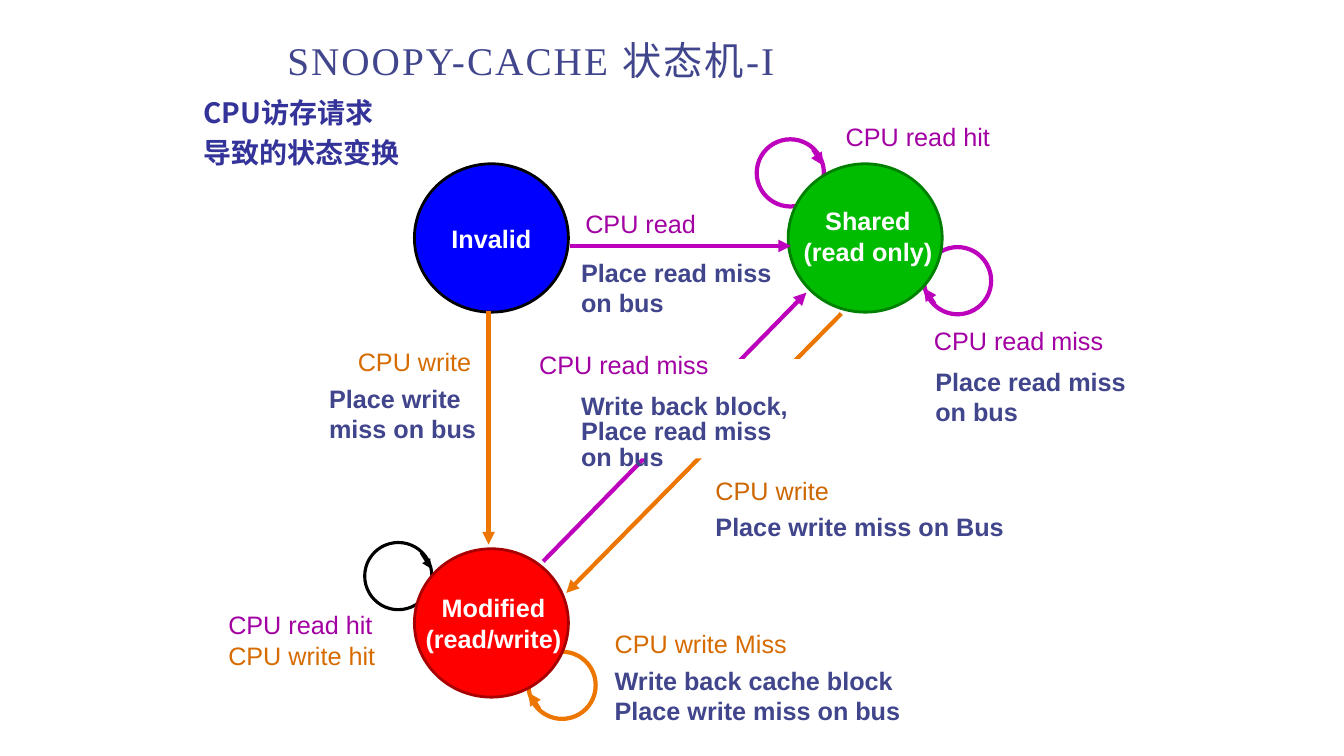
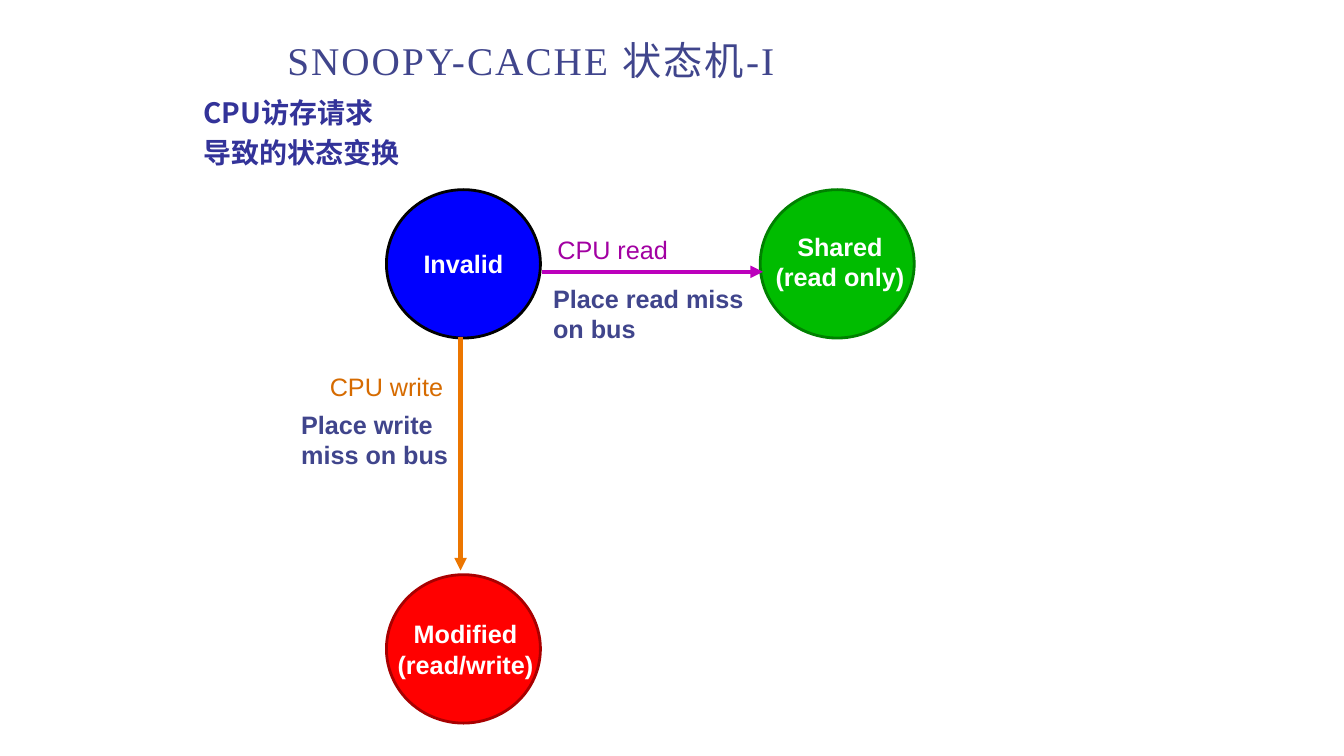
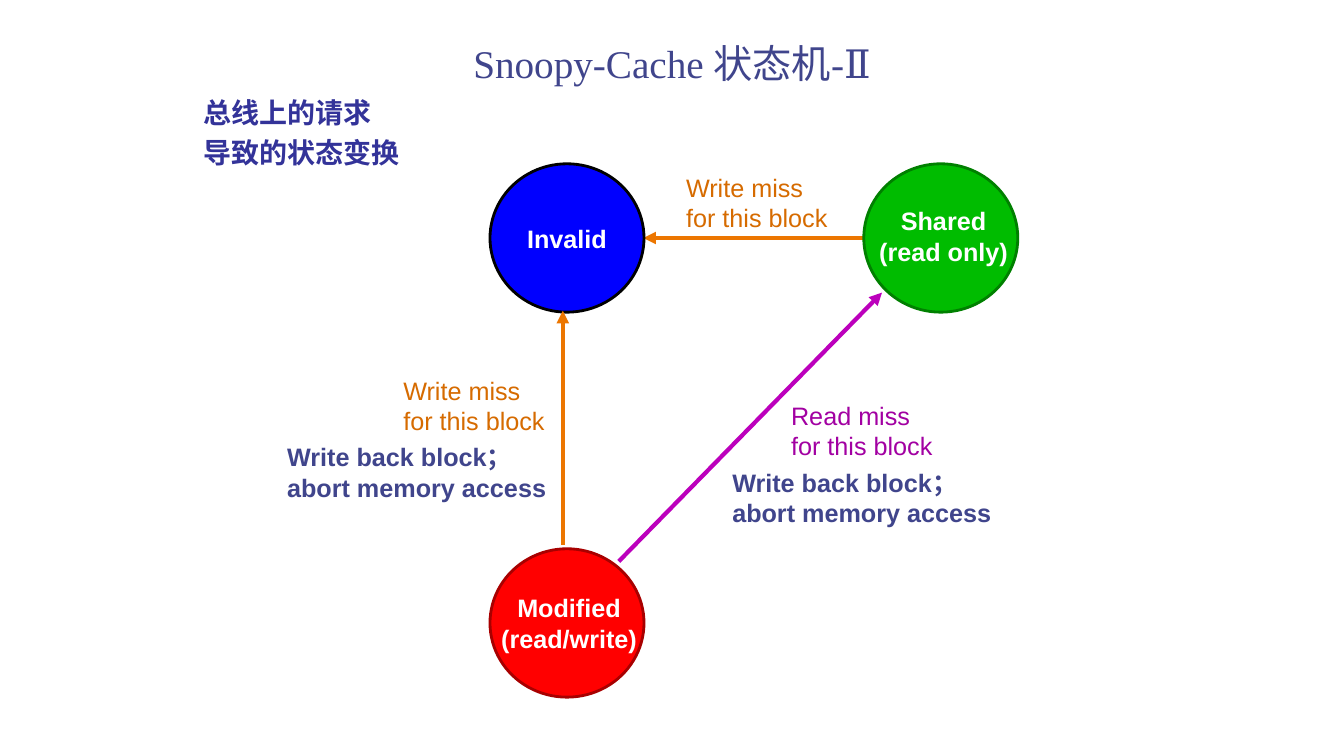
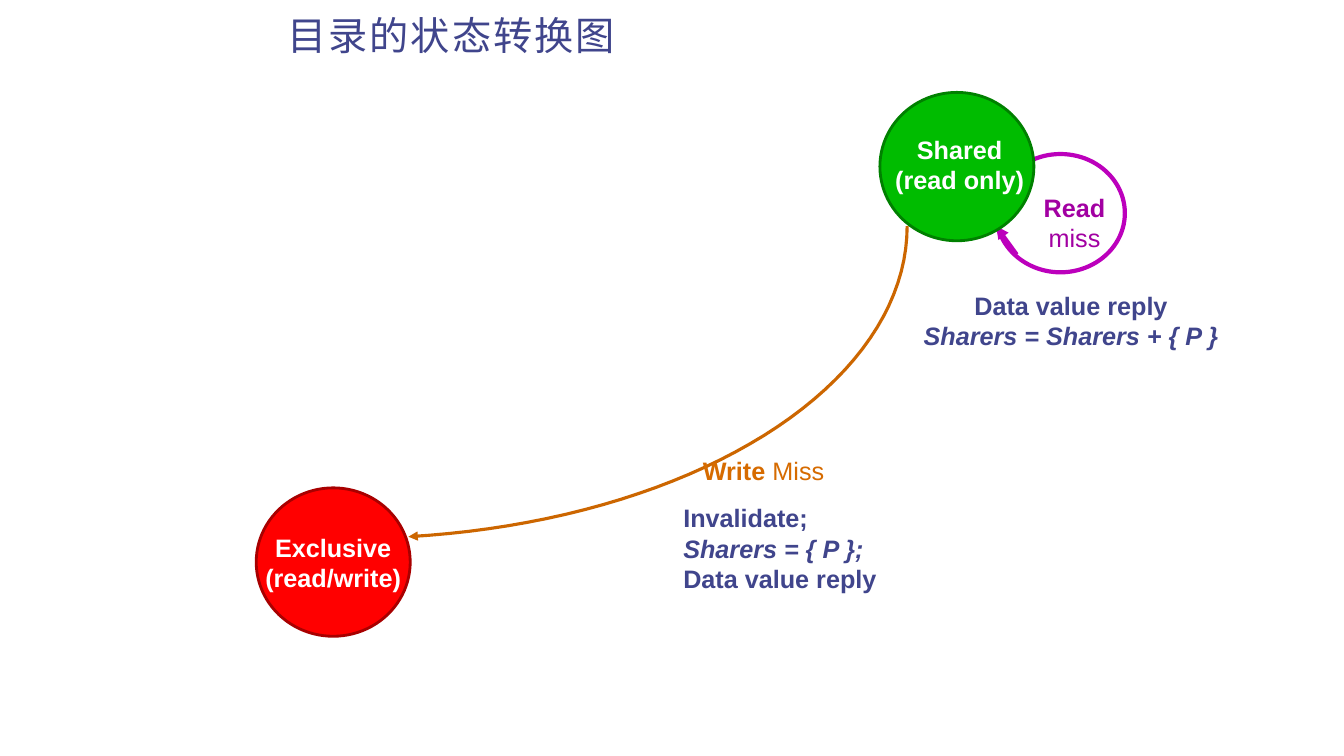
from math import cos, pi, sin

from lxml.etree import SubElement
from pptx import Presentation
from pptx.dml.color import RGBColor
from pptx.enum.shapes import MSO_CONNECTOR, MSO_SHAPE
from pptx.enum.text import MSO_ANCHOR, MSO_AUTO_SIZE, PP_ALIGN
from pptx.oxml.ns import qn
from pptx.util import Pt

INK = {
    "white": "FFFFFF", "black": "000000", "title": "40458C", "head": "333399",
    "blue": "0000FF", "green": "00BC00", "moss": "008000",
    "red": "FF0000", "wine": "A80000",
    "read": "A200A2", "pink": "BC00BC",
    "write": "D66B00", "rust": "CC6600", "gold": "EC7600",
}
SANS, SERIF, HAN = "Arial", "Times New Roman", "Noto Sans CJK SC"
WIDE, TALL = 110, 106
LEFT, TOP = 296, 117
STATES = {
    "Invalid": ("blue", "black", "Invalid", 0, 0),
    "Shared": ("green", "moss", "Shared\n(read only)", 4, 3),
    "Modified": ("red", "wine", "Modified\n(read/write)", 3, 0),
    "Exclusive": ("red", "wine", "Exclusive\n(read/write)", 0, 0),
}
LOOPS = {"left": (0.84, 0.15, 0.99, 0.39), "right": (0.16, 0.85, 0, 0.61)}


def rgb(name):
    """Return the colour of that name."""
    return RGBColor.from_string(INK[name])


def write(frame, text, size, ink, bold=False, face=SANS, align=PP_ALIGN.LEFT, lead=None, track=0):
    """Fill a text frame, one paragraph a line, in one style."""
    frame.text = text
    frame.auto_size = MSO_AUTO_SIZE.NONE
    for para in frame.paragraphs:
        para.alignment = align
        if lead:
            para.line_spacing = lead
        font = para.font
        font.size, font.bold, font.name = Pt(size), bold, face
        font.color.rgb = rgb(ink)
        props = para._p.pPr.find(qn("a:defRPr"))
        SubElement(props, qn("a:ea")).set("typeface", HAN)
        if track:
            props.set("spc", str(track))


def label(slide, x, y, width, text, ink="title", bold=True, fill=None, align=PP_ALIGN.LEFT):
    """Add a text box and return its frame."""
    high = 8 + 21 * len(text.split("\n"))
    box = slide.shapes.add_textbox(Pt(x), Pt(y), Pt(width), Pt(high))
    if fill:
        box.fill.solid()
        box.fill.fore_color.rgb = rgb(fill)
    frame = box.text_frame
    frame.word_wrap = True
    frame.margin_right = 0
    write(frame, text, 18, ink, bold, align=align)
    return frame


def tip(shape):
    """Put a triangle at the end of a line."""
    SubElement(shape.line._get_or_add_ln(), qn("a:tailEnd")).set("type", "triangle")


def arrow(slide, x, y, end_x, end_y, ink, weight=3):
    """Draw a straight arrow."""
    line = slide.shapes.add_connector(
        MSO_CONNECTOR.STRAIGHT, Pt(x), Pt(y), Pt(end_x), Pt(end_y))
    line.line.color.rgb = rgb(ink)
    line.line.width = Pt(weight)
    tip(line)
    SubElement(line._element.spPr, qn("a:effectLst"))


def oval(slide, x, y, width, high, edge, weight, fill=None):
    """Draw an ellipse, hollow unless filled."""
    shape = slide.shapes.add_shape(MSO_SHAPE.OVAL, Pt(x), Pt(y), Pt(width), Pt(high))
    shape.shadow.inherit = False
    if fill:
        shape.fill.solid()
        shape.fill.fore_color.rgb = rgb(fill)
    else:
        shape.fill.background()
    shape.line.color.rgb = rgb(edge)
    shape.line.width = Pt(weight)
    return shape


def loop(slide, x, y, side, ink, width=48, high=48, weight=3):
    """Draw a ring with an arrowhead back into its state."""
    oval(slide, x, y, width, high, ink, weight)
    from_x, from_y, to_x, to_y = LOOPS[side]
    arrow(slide, x + from_x * width, y + from_y * high,
          x + to_x * width, y + to_y * high, ink, weight)


def state(slide, name, x, y):
    """Draw a state with its name inside."""
    fill, edge, text, left, low = STATES[name]
    frame = oval(slide, x, y, WIDE, TALL, edge, 2, fill).text_frame
    frame.word_wrap = False
    frame.vertical_anchor = MSO_ANCHOR.MIDDLE
    frame.margin_left, frame.margin_bottom = Pt(left), Pt(low)
    frame.margin_right = frame.margin_top = 0
    write(frame, text, 18, "white", True, align=PP_ALIGN.CENTER)


def trio(slide, x, y):
    """Draw the three cache states."""
    state(slide, "Invalid", x, y)
    state(slide, "Shared", x + 267, y)
    state(slide, "Modified", x, y + 275)


def rise(slide, x, y):
    """Draw the arrow from Modified up to Shared."""
    arrow(slide, x + 92, y + 284, x + 280, y + 92, "pink")


def leave(slide, x, y):
    """Draw both ways out of Invalid."""
    arrow(slide, x + 111.5, y + 58.7, x + 269, y + 58.7, "pink")
    arrow(slide, x + 53, y + 105.5, x + 53, y + 272, "gold")
    label(slide, x + 115, y + 28.5, 95, "CPU read", "read", False)
    label(slide, x + 112, y + 63, 152, "Place read miss\non bus")
    label(slide, x - 47.5, y + 126.5, 97, "CPU write", "write", False)
    label(slide, x - 68, y + 153, 120, "Place write\nmiss on bus")


def page(deck, title, head=None, align=PP_ALIGN.LEFT, lead=0.9, track=150):
    """Add a slide with its title and heading."""
    slide = deck.slides.add_slide(deck.slide_layouts[5])
    frame = slide.shapes.title.text_frame
    frame.vertical_anchor = MSO_ANCHOR.MIDDLE
    write(frame, title, 28, "title", False, SERIF, align, lead, track)
    if head:
        frame = label(slide, 138, 60, 180, head)
        write(frame, head, 20, "head", True, HAN, lead=1.2)
    return slide


def full(deck):
    """Build the whole machine for CPU requests."""
    slide = page(deck, "SNOOPY-CACHE 状态机-I", "CPU访存请求\n导致的状态变换")
    loop(slide, 660, 176.5, "right", "pink")
    loop(slide, 377.5, 465.5, "right", "gold")
    loop(slide, 540.5, 99.5, "left", "pink")
    loop(slide, 260.5, 387.5, "left", "black", weight=2.25)
    trio(slide, LEFT, TOP)
    leave(slide, LEFT, TOP)
    rise(slide, LEFT, TOP)
    arrow(slide, 601, 224, 404.5, 423.5, "gold")
    label(slide, 597, 83, 120, "CPU read hit", "read", False)
    label(slide, 660, 229, 138, "CPU read miss", "read", False)
    label(slide, 661, 258, 157, "Place read miss\non bus")
    label(slide, 504, 336, 97, "CPU write", "rust", False)
    label(slide, 504, 361.5, 222, "Place write miss on Bus")
    label(slide, 432, 445, 138, "CPU write Miss", "write", False)
    label(slide, 432, 471.5, 222, "Write back cache block\nPlace write miss on bus")
    hits = label(slide, 156, 432, 122, "CPU read hit\nCPU write hit", "read", False)
    hits.paragraphs[1].font.color.rgb = rgb("write")
    back = label(slide, 408, 256.5, 180,
                 "Write back block,\nPlace read miss\non bus", fill="white")
    back.margin_top, back.margin_bottom = Pt(26), 0
    for para in back.paragraphs:
        para.line_spacing = Pt(18)
    label(slide, 378, 246, 137, "CPU read miss", "read", False, "white")


def brief(deck):
    """Build the first steps of the machine."""
    slide = page(deck, "SNOOPY-CACHE 状态机-I", "CPU访存请求\n导致的状态变换")
    x, y = LEFT - 20, TOP + 18.5
    trio(slide, x, y)
    leave(slide, x, y)


def bus(deck):
    """Build the machine for bus requests."""
    slide = page(deck, "Snoopy-Cache 状态机-Ⅱ", "总线上的请求\n导致的状态变换",
                 PP_ALIGN.CENTER, 1.0, 0)
    x = LEFT + 54
    arrow(slide, 626, 170, 459.5, 170, "gold")
    trio(slide, x, TOP)
    rise(slide, x, TOP)
    arrow(slide, 402, 389, 402, 222, "gold")
    miss = "miss\nfor this block"
    label(slide, 483, 119.5, 117, f"Write {miss}", "write", False)
    label(slide, 281, 264.5, 117, f"Write {miss}", "write", False)
    label(slide, 558, 282.5, 117, f"Read {miss}", "read", False)
    for left, top in ((516, 330), (198, 312)):
        label(slide, left, top, 210, "Write back block；\nabort memory access")


def curve(slide, x, y, wide, high, turn, ink):
    """Draw an arrow along an ellipse about a centre."""
    steps = 40
    dots = [(Pt(x + wide * cos(turn * i / steps)), Pt(y + high * sin(turn * i / steps)))
            for i in range(steps + 1)]
    pen = slide.shapes.build_freeform(*dots[0])
    pen.add_line_segments(dots[1:], close=False)
    shape = pen.convert_to_shape()
    shape.shadow.inherit = False
    shape.fill.background()
    shape.line.color.rgb = rgb(ink)
    shape.line.width = Pt(2.25)
    tip(shape)


def shift(deck):
    """Build the state changes of the directory."""
    slide = page(deck, "目录的状态转换图")
    name = slide.shapes.title
    name.left, name.top, name.width, name.height = Pt(198), Pt(6), Pt(564), Pt(42)
    curve(slide, 252, 161.5, 396, 223, 0.468 * pi, "rust")
    loop(slide, 711.5, 110, "right", "pink", 92, 84.5)
    state(slide, "Shared", 628.5, 66)
    state(slide, "Exclusive", 183, 348.5)
    mid = PP_ALIGN.CENTER
    read = label(slide, 734, 134, 60, "Read\nmiss", "read", align=mid)
    read.paragraphs[1].font.bold = False
    reply = label(slide, 649.5, 204, 224,
                  "Data value reply\nSharers = Sharers + { P }", align=mid)
    miss = label(slide, 495, 322, 102, "Write", "write")
    run = miss.paragraphs[0].add_run()
    run.text = " Miss"
    run.font.bold = False
    steps = label(slide, 481, 355.5, 153, "Invalidate;\nSharers = { P };\nData value reply")
    for frame in (reply, steps):
        frame.paragraphs[1].font.italic = True


def main():
    """Build and save the deck."""
    deck = Presentation()
    deck.slide_width, deck.slide_height = Pt(960), Pt(540)
    name = deck.slide_layouts[5].placeholders[0]
    name.left, name.top, name.width, name.height = Pt(198), Pt(24), Pt(564), Pt(42)
    for build in (full, brief, bus, shift):
        build(deck)
    deck.save("out.pptx")


if __name__ == "__main__":
    main()
